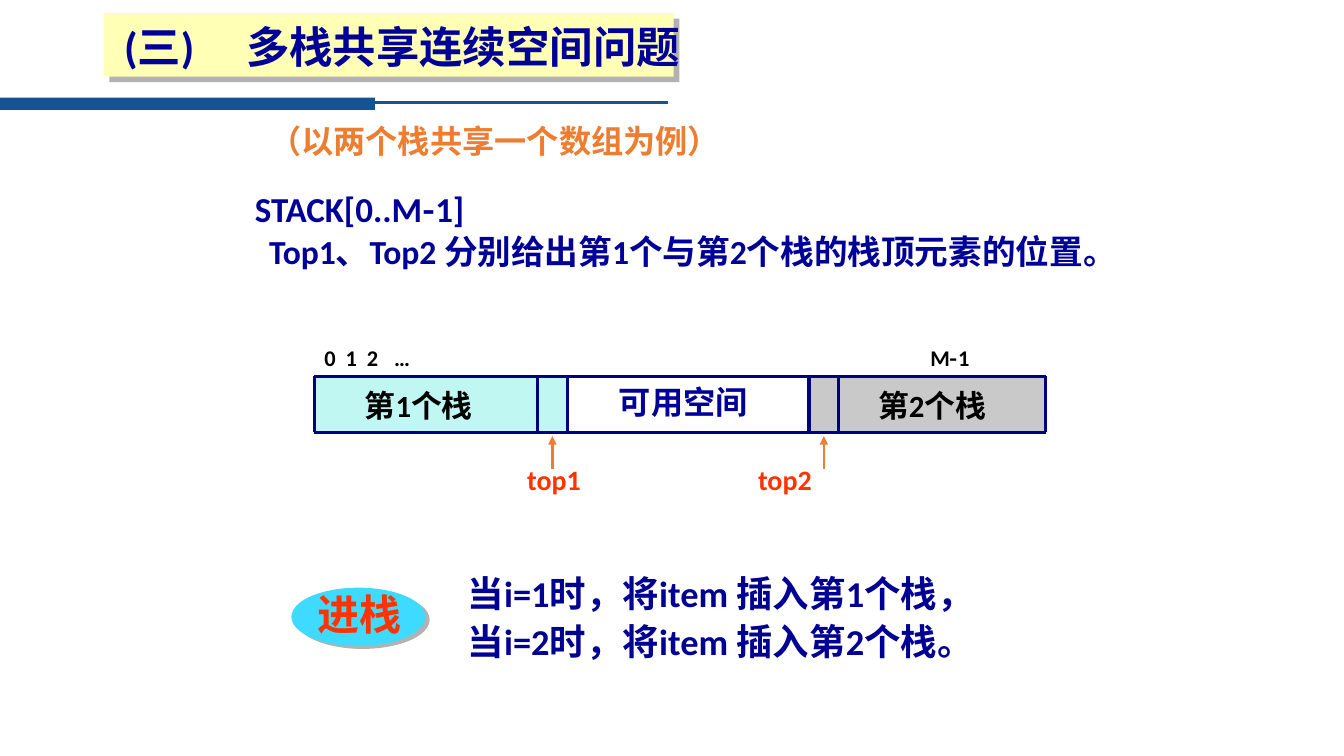
from dataclasses import dataclass

from lxml.etree import SubElement
from pptx import Presentation
from pptx.dml.color import RGBColor
from pptx.enum.shapes import MSO_CONNECTOR as Connector, MSO_SHAPE as Preset
from pptx.enum.text import MSO_ANCHOR as Anchor, MSO_AUTO_SIZE as AutoSize, PP_ALIGN as Align
from pptx.oxml import parse_xml
from pptx.oxml.ns import nsdecls, qn
from pptx.util import Inches, Pt

WIDTH, HEIGHT = Inches(13.33), Inches(7.5)


@dataclass(frozen=True)
class Theme:
    latin: str = "Calibri"
    cjk: str = "Noto Sans CJK SC"
    rule: str = "145396"
    navy: str = "000099"
    deep_navy: str = "000092"
    border: str = "000080"
    orange: str = "ED7D31"
    red: str = "FF3300"
    black: str = "000000"
    panel: str = "FFFFB5"
    shadow: str = "B2B2B2"
    oval: str = "3FDAFF"
    first_stack: str = "C1F7F2"
    second_stack: str = "C9C9C9"
    title: int = 31
    badge: int = 30
    rules: int = 26
    declaration: int = 25
    body: int = 24
    subtitle: int = 23
    cell: int = 22
    pointer: int = 20
    index: int = 16


THEME = Theme()


def across(share):
    """Percentage of the slide's width."""
    return round(WIDTH * share / 100)


def down(share):
    """Percentage of the slide's height."""
    return round(HEIGHT * share / 100)


def area(left, top, width, height):
    return across(left), down(top), across(width), down(height)


def drop_shadow(distance, angle, color):
    return parse_xml(
        f'<a:effectLst {nsdecls("a")}><a:outerShdw blurRad="0" dist="{Pt(distance)}" '
        f'dir="{angle * 60000}" algn="ctr" rotWithShape="0">'
        f'<a:srgbClr val="{color}"/></a:outerShdw></a:effectLst>')


def add_block(slide, preset, place, color, shadow=None):
    block = slide.shapes.add_shape(preset, *area(*place))
    block.shadow.inherit = False
    block.fill.solid()
    block.fill.fore_color.rgb = RGBColor.from_string(color)
    block.line.fill.background()
    if shadow:
        properties = block._element.spPr
        properties.remove(properties.find(qn("a:effectLst")))
        properties.append(drop_shadow(*shadow, THEME.shadow))


def add_line(slide, start, end, color, weight, arrow=False):
    line = slide.shapes.add_connector(
        Connector.STRAIGHT, across(start[0]), down(start[1]), across(end[0]), down(end[1]))
    line.line.color.rgb = RGBColor.from_string(color)
    line.line.width = Pt(weight)
    if arrow:
        SubElement(line.line._get_or_add_ln(), qn("a:tailEnd"), type="triangle")
    SubElement(line._element.spPr, qn("a:effectLst"))


def add_run(paragraph, words, face, size, color):
    run = paragraph.add_run()
    run.text = words
    font = run.font
    font.size, font.bold, font.name = Pt(size), True, face
    font.color.rgb = RGBColor.from_string(color)
    font._element.find(qn("a:latin")).addnext(
        parse_xml(f'<a:ea {nsdecls("a")} typeface="{face}"/>'))
    return run


def write(frame, lines, size, color, wrap=True, tabs=(), spacing=None, after=0):
    """Fill a frame; each line is a list of (words, face) runs, tabs are in inches."""
    frame.auto_size = AutoSize.NONE
    frame.word_wrap = wrap
    frame.vertical_anchor = Anchor.TOP
    for number, runs in enumerate(lines):
        paragraph = frame.add_paragraph() if number else frame.paragraphs[0]
        if tabs:
            stops = SubElement(paragraph._p.get_or_add_pPr(), qn("a:tabLst"))
            for stop in tabs:
                SubElement(stops, qn("a:tab"), pos=str(Inches(stop)), algn="l")
        paragraph.alignment = Align.LEFT
        paragraph.line_spacing = spacing
        paragraph.space_after = Pt(after)
        for words, face in runs:
            add_run(paragraph, words, face, size, color)


def add_text(slide, place, lines, size, color, **layout):
    frame = slide.shapes.add_textbox(*area(*place)).text_frame
    write(frame, lines, size, color, **layout)
    return frame


def add_heading(slide):
    add_block(slide, Preset.RECTANGLE, (0, 12.93, 27.9, 1.6), THEME.rule)
    add_line(slide, (27.6, 13.6), (49.7, 13.6), THEME.rule, 2.25)
    add_block(slide, Preset.RECTANGLE, (7.73, 1.73, 42.4, 8.4), THEME.panel, (5.7, 45))
    title = slide.shapes.title
    title.left, title.top, title.width, title.height = area(8.48, 2, 42.9, 8.27)
    write(title.text_frame, [[("(三)\t多栈共享连续空间问题", THEME.latin)]],
          THEME.title, THEME.navy, wrap=False, tabs=[1.21])
    slide.shapes._spTree.append(title._element)  # in front of its panel
    add_text(slide, (19.28, 15.33, 40, 6.4), [[("（以两个栈共享一个数组为例）", THEME.latin)]],
             THEME.subtitle, THEME.orange)


def add_declaration(slide):
    add_text(slide, (18.23, 24.13, 23.1, 6.93),
             [[("STACK[0..M", THEME.latin), ("-", THEME.cjk), ("1]", THEME.latin)]],
             THEME.declaration, THEME.navy)
    add_text(slide, (19.28, 29.87, 64.5, 12),
             [[("Top1、Top2 分别给出第1个与第2个栈的栈顶元素的位置。", THEME.latin)]],
             THEME.body, THEME.navy)


def add_shared_array(slide):
    top, bottom = 49.8, 57.2
    edges = [23.4, 40, 42.2, 60.2, 62.4, 77.8]
    stacks = [("1", edges[0], edges[2], 26.41, THEME.first_stack),
              ("2", edges[3], edges[5], 64.59, THEME.second_stack)]
    for _, left, right, _, color in stacks:
        add_block(slide, Preset.RECTANGLE, (left, top, right - left, bottom - top), color)
    for edge in edges:
        add_line(slide, (edge, top), (edge, bottom), THEME.border, 2.25)
    for level in (top, bottom):
        add_line(slide, (edges[0], level), (edges[-1], level), THEME.border, 2)
    for number, _, _, label_left, _ in stacks:
        add_text(slide, (label_left, 50.53, 14.8, 6.27),
                 [[("第", THEME.cjk), (number, THEME.latin), ("个栈", THEME.cjk)]],
                 THEME.cell, THEME.black)
    add_text(slide, (45.31, 49.87, 15.4, 6.4), [[("可用空间", THEME.latin)]],
             THEME.subtitle, THEME.navy)
    add_text(slide, (edges[0], 44.8, 50, 4.93),
             [[("0\t1\t2\t…\tM", THEME.latin), ("-", THEME.cjk), ("1", THEME.latin)]],
             THEME.index, THEME.black, tabs=[0.21, 0.42, 0.69, 6.01])
    for left, right in (edges[1:3], edges[3:5]):
        middle = (left + right) / 2
        add_line(slide, (middle, 62), (middle, 57.7), THEME.orange, 1.75, arrow=True)
    add_text(slide, (38.48, 60.53, 29, 5.73), [[("top1\ttop2", THEME.latin)]],
             THEME.pointer, THEME.red, tabs=[2.29])


def add_push_rules(slide):
    add_block(slide, Preset.OVAL, (21.68, 77.73, 9.98, 7.73), THEME.oval, (3.6, 34))
    badge = add_text(slide, (22.88, 78, 11.25, 7.47), [[("进栈", THEME.cjk)]],
                     THEME.badge, THEME.red, spacing=0.9)
    run_font = badge.paragraphs[0].runs[0].font._element
    run_font.find(qn("a:solidFill")).addnext(drop_shadow(2, 45, THEME.black))
    add_text(slide, (34.06, 75.6, 47.8, 13.2),
             [[("当i=1时，将item 插入第1个栈，", THEME.latin)],
              [("当i=2时，将item 插入第2个栈。", THEME.latin)]],
             THEME.rules, THEME.deep_navy, spacing=0.9, after=6)


def main():
    deck = Presentation()
    deck.slide_width, deck.slide_height = WIDTH, HEIGHT
    slide = deck.slides.add_slide(deck.slide_layouts[5])
    add_heading(slide)
    add_declaration(slide)
    add_shared_array(slide)
    add_push_rules(slide)
    deck.save("out.pptx")


if __name__ == "__main__":
    main()
